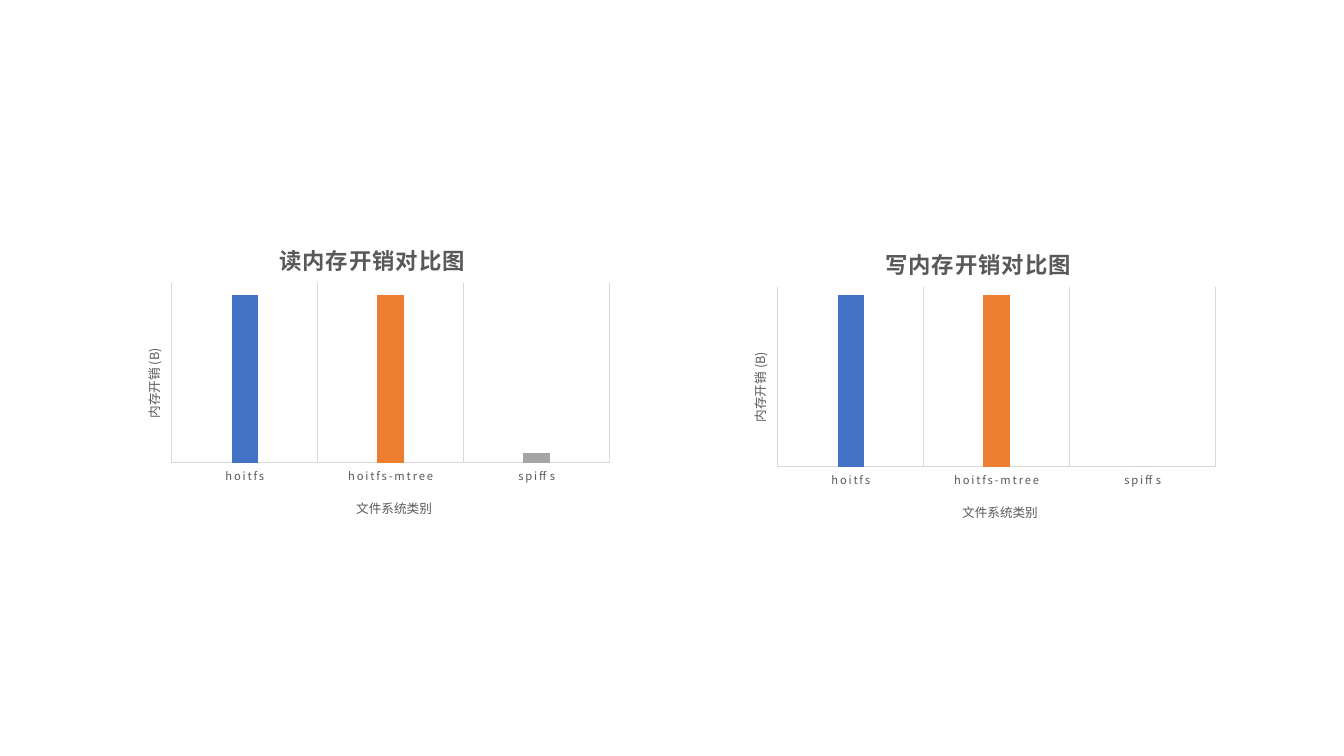
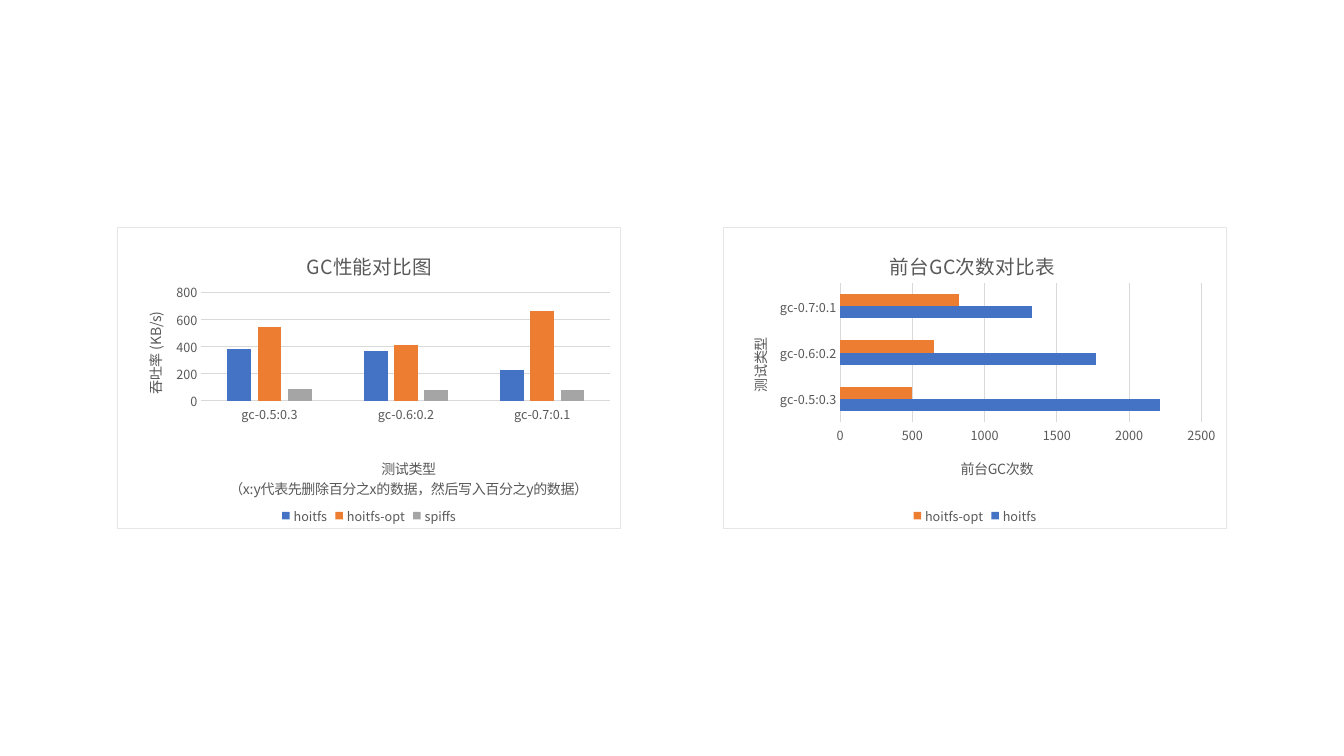
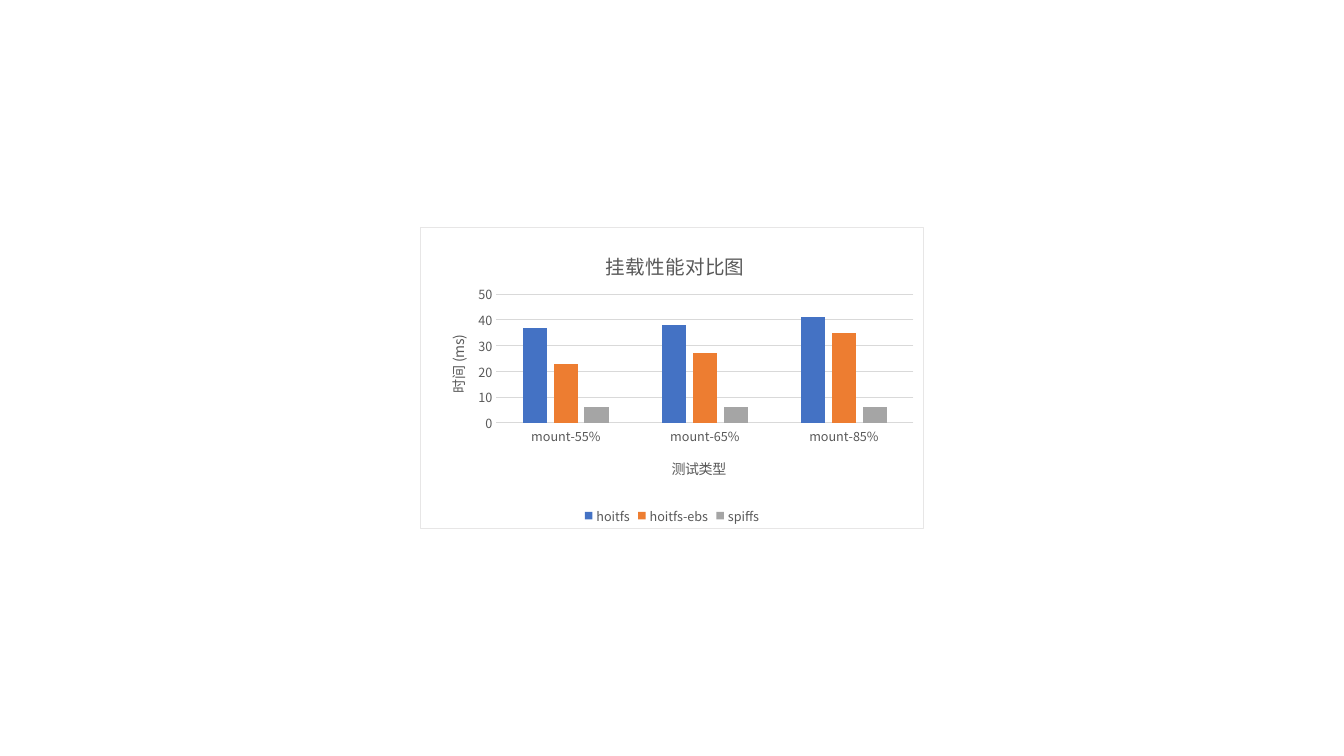
from dataclasses import dataclass

from pptx import Presentation
from pptx.chart.axis import CategoryAxis, ValueAxis
from pptx.chart.chart import Chart
from pptx.chart.data import CategoryChartData
from pptx.dml.color import RGBColor
from pptx.enum.chart import XL_CHART_TYPE as ChartType
from pptx.enum.chart import XL_LEGEND_POSITION as LegendPosition
from pptx.enum.chart import XL_TICK_MARK as TickMark
from pptx.enum.shapes import MSO_SHAPE as Preset
from pptx.oxml import parse_xml
from pptx.oxml.ns import nsdecls, qn
from pptx.slide import Slide
from pptx.text.text import Font
from pptx.util import Emu, Pt

FONT = "Noto Sans CJK SC"
WHITE, BLACK, GRAY, RULE, BORDER = "FFFFFF", "000000", "595959", "D9D9D9", "E7E6E6"
PALETTE = ("4472C4", "ED7D31", "A5A5A5")
SLIDE_WIDTH, SLIDE_HEIGHT = 1344, 756
LEFT_COLUMN, MIDDLE_COLUMN, RIGHT_COLUMN = 117, 420, 723
CHART_WIDTH = 504
MEMORY_HEIGHT, PANEL_HEIGHT, PANEL_TOP = 312, 302, 227


@dataclass(frozen=True)
class Label:
    """Title text placed inside its chart, in pixels from the chart corner."""

    text: str
    left: int
    top: int
    size: int = 10
    bold: bool = False
    spacing: int = 0
    upright: bool = False


@dataclass(frozen=True)
class ChartPanel:
    """One bar chart with its data, titles and plot box."""

    left: int
    top: int
    height: int
    title: Label
    category_title: Label
    value_title: Label
    plot: tuple[int, int, int, int]
    categories: tuple[str, ...]
    series: dict[str, tuple[int, ...]]
    maximum: int
    step: int = 0
    gap: int = 219
    overlap: int = -27
    kind: ChartType = ChartType.COLUMN_CLUSTERED


def memory_panel(left: int, top: int, title: str, values: tuple[int, ...], maximum: int) -> ChartPanel:
    """Describe a memory cost chart, which has no value scale."""
    return ChartPanel(
        left, top, MEMORY_HEIGHT,
        Label(title, 158, 18, 16, bold=True, spacing=100),
        Label("文件系统类别", 237, 275, 9),
        Label("内存开销 (B)", 24, 126, 9, upright=True),
        (55, 63, 438, 180), ("hoitfs", "hoitfs-mtree", "spiffs"),
        {"Series 1": values}, maximum, gap=444, overlap=-90,
    )


GC_TESTS = ("gc-0.5:0.3", "gc-0.6:0.2", "gc-0.7:0.1")
SLIDES = (
    (
        memory_panel(LEFT_COLUMN, 220, "读内存开销对比图", (100, 100, 6), 107),
        memory_panel(RIGHT_COLUMN, 224, "写内存开销对比图", (100, 100, 0), 105),
    ),
    (
        ChartPanel(
            LEFT_COLUMN, PANEL_TOP, PANEL_HEIGHT,
            Label("GC性能对比图", 186, 18, 14),
            Label("测试类型\n（x:y代表先删除百分之x的数据，然后写入百分之y的数据）", 109, 227),
            Label("吞吐率 (KB/s)", 24, 82, upright=True),
            (84, 65, 410, 109), GC_TESTS,
            {"hoitfs": (380, 370, 230), "hoitfs-opt": (540, 410, 660), "spiffs": (90, 80, 80)},
            800, 200,
        ),
        ChartPanel(
            RIGHT_COLUMN, PANEL_TOP, PANEL_HEIGHT,
            Label("前台GC次数对比表", 163, 18, 14),
            Label("测试类型", 23, 108, upright=True),
            Label("前台GC次数", 235, 228),
            (117, 56, 362, 139), GC_TESTS,
            {"hoitfs": (2210, 1770, 1330), "hoitfs-opt": (500, 650, 820)},
            2500, 500, gap=182, overlap=0, kind=ChartType.BAR_CLUSTERED,
        ),
    ),
    (
        ChartPanel(
            MIDDLE_COLUMN, PANEL_TOP, PANEL_HEIGHT,
            Label("挂载性能对比图", 182, 18, 14),
            Label("测试类型", 249, 228),
            Label("时间 (ms)", 24, 105, upright=True),
            (76, 67, 418, 129), ("mount-55%", "mount-65%", "mount-85%"),
            {"hoitfs": (37, 38, 41), "hoitfs-ebs": (23, 27, 35), "spiffs": (6, 6, 6)},
            50, 10,
        ),
    ),
)


def px(length: int) -> Emu:
    """Turn pixels into EMU."""
    return Emu(round(length * 914400 / 100.8))


def rgb(value: str) -> RGBColor:
    """Turn a hex string into a colour."""
    return RGBColor.from_string(value)


def style_font(font: Font, size: int, color: str = GRAY, bold: bool = False, spacing: int = 0) -> None:
    """Set typeface, size, colour, weight and letter spacing."""
    font.size, font.bold, font.name = Pt(size), bold, FONT
    font.color.rgb = rgb(color)
    properties = font._element
    properties.set("spc", str(spacing))
    properties.find(qn("a:latin")).addnext(parse_xml(f'<a:ea {nsdecls("a")} typeface="{FONT}"/>'))


def manual_layout(panel: ChartPanel, box: tuple[int, ...], inner: bool = False):
    """Build a layout element from a box in chart pixels."""
    sizes = (CHART_WIDTH, panel.height) * 2
    target = '<c:layoutTarget val="inner"/>' if inner else ""
    modes = "".join(f'<c:{axis}Mode val="edge"/>' for axis in "xy")
    places = "".join(
        f'<c:{name} val="{length / size:.4f}"/>' for name, length, size in zip("xywh", box, sizes)
    )
    return parse_xml(
        f'<c:layout {nsdecls("c")}><c:manualLayout>{target}{modes}{places}</c:manualLayout></c:layout>'
    )


def remove_layout(element) -> None:
    """Drop the automatic layout of a chart part."""
    layout = element.find(qn("c:layout"))
    if layout is not None:
        element.remove(layout)


def write_title(title, label: Label, panel: ChartPanel) -> None:
    """Write, style and place a chart or axis title."""
    frame = title.text_frame
    frame.text = label.text
    for paragraph in frame.paragraphs:
        style_font(paragraph.font, label.size, bold=label.bold, spacing=label.spacing)
    body = frame._txBody.find(qn("a:bodyPr"))
    body.set("rot", "-5400000" if label.upright else "0")
    body.set("vert", "horz")
    element = title._element
    remove_layout(element)
    element.find(qn("c:tx")).addnext(manual_layout(panel, (label.left, label.top)))


def style_axis(axis: CategoryAxis | ValueAxis, size: int, spacing: int, gridlines: bool) -> None:
    """Set the tick marks, labels and gridlines of an axis."""
    axis.major_tick_mark = axis.minor_tick_mark = TickMark.NONE
    style_font(axis.tick_labels.font, size, spacing=spacing)
    axis.has_major_gridlines = gridlines
    if gridlines:
        line = axis.major_gridlines.format.line
        line.color.rgb, line.width = rgb(RULE), Pt(0.75)


def style_frame(chart: Chart, bordered: bool) -> None:
    """Fill the chart area and draw its border."""
    color = f'<a:solidFill><a:srgbClr val="{BORDER}"/></a:solidFill>' if bordered else "<a:noFill/>"
    fill = f'<a:solidFill><a:srgbClr val="{WHITE}"/></a:solidFill>' if bordered else "<a:noFill/>"
    area = parse_xml(f'<c:spPr {nsdecls("c", "a")}>{fill}<a:ln w="9525">{color}</a:ln></c:spPr>')
    chart._chartSpace.find(qn("c:chart")).addnext(area)


def color_bars(chart: Chart, panel: ChartPanel) -> None:
    """Colour the series, or the bars of a single series."""
    plot = chart.plots[0]
    plot.vary_by_categories = False
    plot.gap_width, plot.overlap = panel.gap, panel.overlap
    for series, color in zip(plot.series, PALETTE):
        series.format.fill.solid()
        series.format.fill.fore_color.rgb = rgb(color)
        series.invert_if_negative = False
    if len(panel.series) == 1:
        for index, color in enumerate(PALETTE[1:], start=1):
            fill = plot.series[0].points[index].format.fill
            fill.solid()
            fill.fore_color.rgb = rgb(color)


def draw_chart(slide: Slide, panel: ChartPanel) -> None:
    """Draw one chart panel."""
    data = CategoryChartData()
    data.categories = panel.categories
    for name, values in panel.series.items():
        data.add_series(name, values)
    chart = slide.shapes.add_chart(
        panel.kind, px(panel.left), px(panel.top), px(CHART_WIDTH), px(panel.height), data
    ).chart
    scaled = panel.step > 0
    style_font(chart.font, 10, BLACK)
    style_frame(chart, scaled)
    color_bars(chart, panel)

    category_axis, value_axis = chart.category_axis, chart.value_axis
    style_axis(category_axis, 9 if scaled else 8, 0 if scaled else 120, not scaled)
    style_axis(value_axis, 9, 0, scaled)
    category_axis.format.line.color.rgb = rgb(RULE)
    category_axis.format.line.width = Pt(0.75)
    value_axis.format.line.fill.background()
    value_axis.minimum_scale, value_axis.maximum_scale = 0, panel.maximum
    value_axis.visible = scaled
    if scaled:
        value_axis.major_unit = panel.step

    write_title(chart.chart_title, panel.title, panel)
    write_title(category_axis.axis_title, panel.category_title, panel)
    write_title(value_axis.axis_title, panel.value_title, panel)
    chart.has_legend = scaled
    if scaled:
        chart.legend.position = LegendPosition.BOTTOM
        chart.legend.include_in_layout = False
        style_font(chart.legend.font, 9)

    plot_area = chart._chartSpace.find(qn("c:chart")).find(qn("c:plotArea"))
    remove_layout(plot_area)
    plot_area.insert(0, manual_layout(panel, panel.plot, inner=True))


def draw_background(slide: Slide) -> None:
    """Cover the slide with a white rectangle."""
    shape = slide.shapes.add_shape(Preset.RECTANGLE, 0, 0, px(SLIDE_WIDTH), px(SLIDE_HEIGHT))
    shape.shadow.inherit = False
    shape.fill.solid()
    shape.fill.fore_color.rgb = shape.line.color.rgb = rgb(WHITE)
    shape.line.width = Pt(1)


def main() -> None:
    """Build and save the presentation."""
    presentation = Presentation()
    presentation.slide_width, presentation.slide_height = px(SLIDE_WIDTH), px(SLIDE_HEIGHT)
    blank_layout = presentation.slide_layouts[6]
    for panels in SLIDES:
        slide = presentation.slides.add_slide(blank_layout)
        draw_background(slide)
        for panel in panels:
            draw_chart(slide, panel)
    presentation.save("out.pptx")


main()
